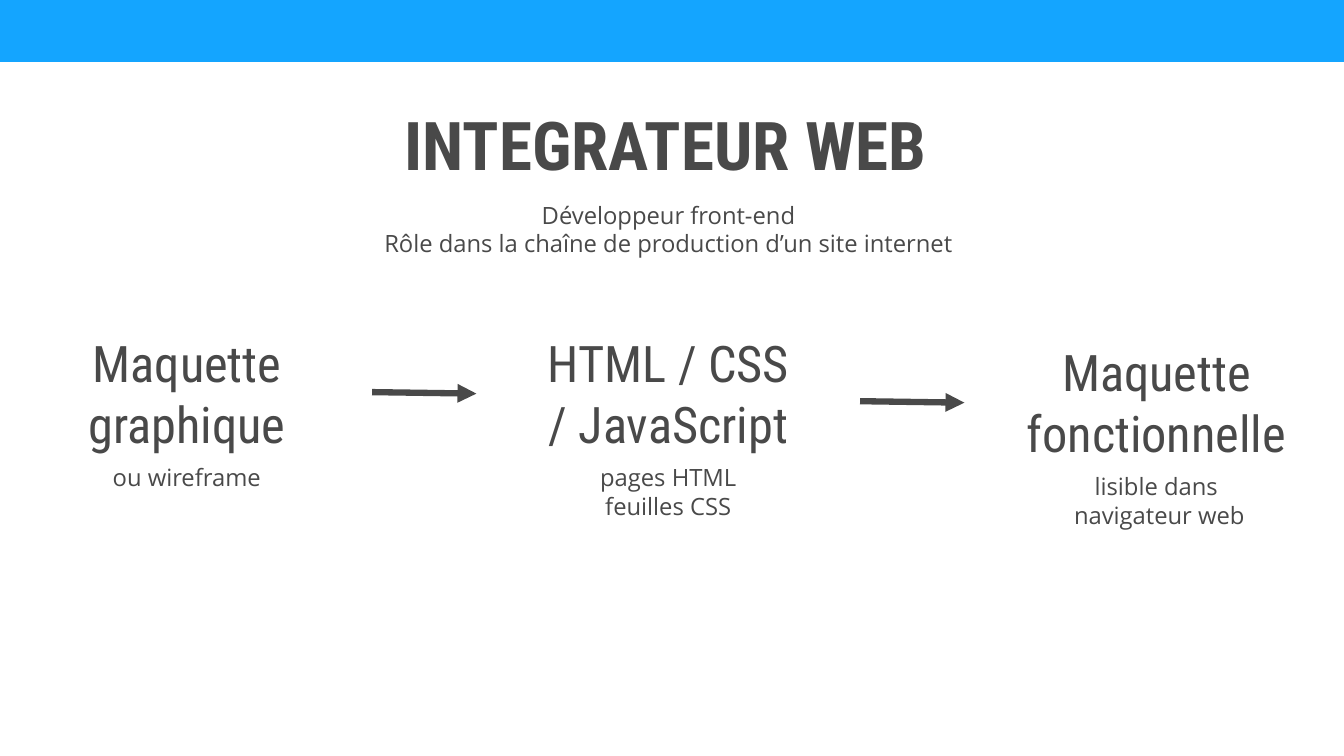
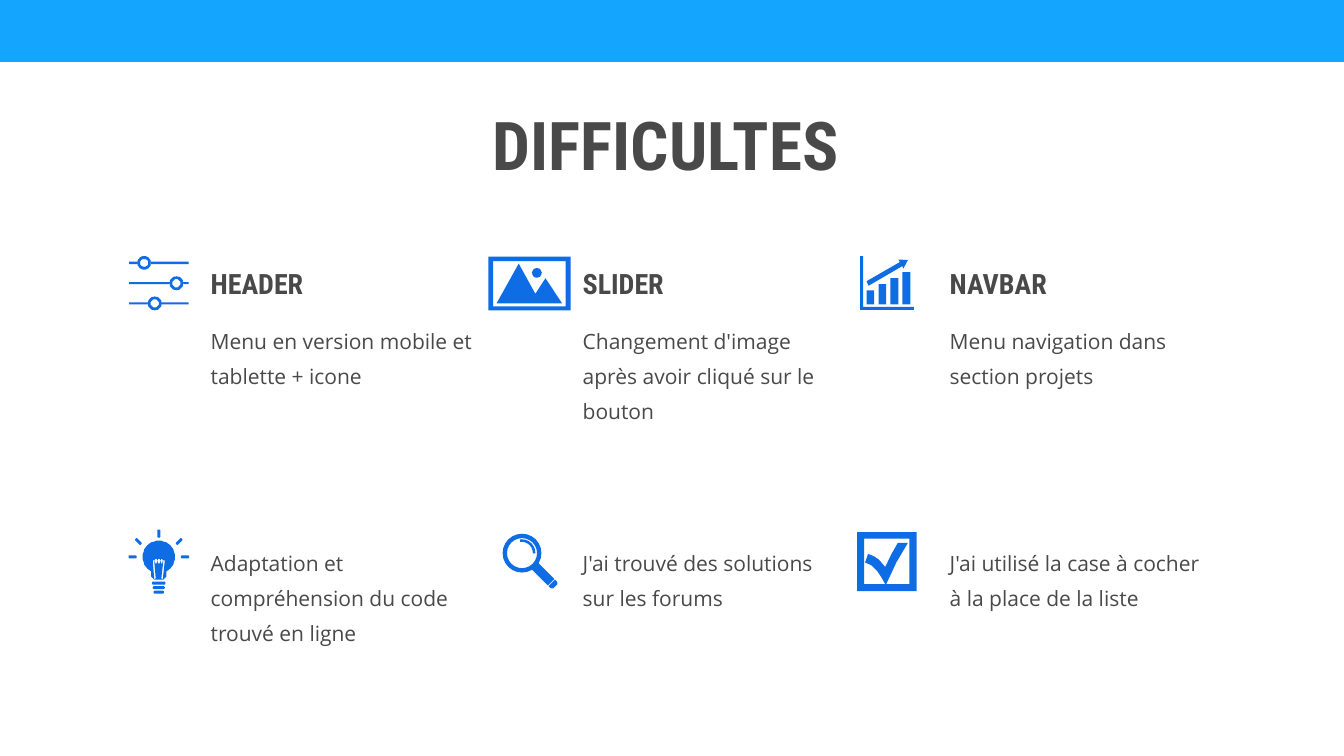
from math import cos, radians, sin, atan2, degrees

from lxml.etree import SubElement
from pptx import Presentation
from pptx.dml.color import RGBColor
from pptx.enum.shapes import MSO_CONNECTOR, MSO_SHAPE
from pptx.enum.text import MSO_ANCHOR, PP_ALIGN
from pptx.oxml.ns import qn
from pptx.util import Inches, Pt

# Shared grid: one-inch columns and rows
COLS, ROWS = 26.66, 15
BAND, INK, ICON = "14A5FF", "494949", "0E6DE5"
TITLE_FONT, BODY_FONT = "Roboto Condensed", "Open Sans"


def rgb(value):
    return RGBColor.from_string(value)


def grid(*cells):
    return [Inches(c) for c in cells]


def paint(sp, color):
    sp.shadow.inherit = False
    sp.fill.solid()
    sp.fill.fore_color.rgb = rgb(color)
    sp.line.fill.background()


def add_shape(shapes, kind, box, color, rotation=0, adjustments=()):
    sp = shapes.add_shape(kind, *grid(*box))
    paint(sp, color)
    sp.rotation = rotation
    for i, value in enumerate(adjustments):
        sp.adjustments[i] = value


def add_text(s, box, lines, size, font=BODY_FONT, bold=False, align=PP_ALIGN.LEFT,
             anchor=MSO_ANCHOR.TOP, spacing=None, inset=0.05):
    tf = s.shapes.add_textbox(*grid(*box)).text_frame
    tf.word_wrap = True
    tf.vertical_anchor = anchor
    tf.margin_left = tf.margin_right = Inches(0.1)
    tf.margin_top = tf.margin_bottom = Inches(inset)
    tf.text = "\n".join(lines)
    for p in tf.paragraphs:
        p.alignment = align
        if spacing:
            p.line_spacing = spacing
        for r in p.runs:
            r.font.name, r.font.size, r.font.bold = font, Pt(size), bold
            r.font.color.rgb = rgb(INK)


def add_arrow(s, x1, y1, x2, y2):
    line = s.shapes.add_connector(MSO_CONNECTOR.STRAIGHT, *grid(x1, y1, x2, y2))
    line.line.color.rgb = rgb(INK)
    line.line.width = Pt(9)
    SubElement(line.line._get_or_add_ln(), qn("a:tailEnd"), type="triangle")
    SubElement(line._element.spPr, qn("a:effectLst"))


def new_slide(prs, title, title_box):
    s = prs.slides.add_slide(prs.slide_layouts[6])
    add_shape(s.shapes, MSO_SHAPE.RECTANGLE, (0, 0, COLS, 1.23), BAND)
    add_text(s, title_box, [title], 96, TITLE_FONT, True, PP_ALIGN.CENTER)
    return s


# Icon outlines, in hundredths of a grid cell; inner outlines cut holes
def rect(x, y, w, h):
    return [(x, y), (x + w, y), (x + w, y + h), (x, y + h)]


def arc(cx, cy, radius, start=0, end=350, step=10):
    return [(cx + radius * cos(radians(a)), cy + radius * sin(radians(a)))
            for a in range(start, end + 1, step)]


def capsule(x1, y1, x2, y2, radius=3):
    turn = round(degrees(atan2(y2 - y1, x2 - x1)))
    return (arc(x2, y2, radius, turn - 90, turn + 90, 30)
            + arc(x1, y1, radius, turn + 90, turn + 270, 30))


def draw_icon(s, x, y, outlines):
    first, *others = outlines
    fb = s.shapes.build_freeform(*first[0], scale=Inches(0.01))
    fb.add_line_segments(first[1:], close=True)
    for outline in others:
        fb.move_to(*outline[0])
        fb.add_line_segments(outline[1:], close=True)
    paint(fb.convert_to_shape(*grid(x, y)), ICON)


def sliders_icon(s, x, y):
    outlines = []
    for cy, cx in ((13.5, 30), (54, 94), (94, 51)):
        outlines += [rect(0, cy - 2.5, cx - 13, 5), rect(cx + 13, cy - 2.5, 105 - cx, 5),
                     arc(cx, cy, 13.5), arc(cx, cy, 8)]
    draw_icon(s, x, y, outlines)


def image_icon(s, x, y):
    mountains = [(60, 14), (93, 74), (113, 43), (146, 93), (16, 93)]
    draw_icon(s, x, y, [rect(0, 0, 163, 107), rect(9, 9, 144, 90), mountains,
                        arc(96, 32.5, 9.5)])


def chart_icon(s, x, y):
    axes = [(0, 0), (6, 0), (6, 101), (107, 101), (107, 107), (0, 107)]
    trend = [(76, 7), (95, 8), (86, 25), (84, 20), (17, 59), (13, 50), (79, 12)]
    bars = [rect(13 + 23.7 * i, 68 - 12 * i, 15.5, 28 + 12 * i) for i in range(4)]
    draw_icon(s, x, y, [axes, trend, *bars])


def bulb_icon(s, x, y):
    glass = arc(60, 54, 32, 117, 423, 9) + [(75, 93), (69, 99), (51, 99), (45, 93)]
    filament = [(48, 61), (53, 61), (53, 58), (56, 58), (56, 61), (58, 61), (58, 58),
                (62, 58), (62, 61), (64, 61), (64, 58), (67, 58), (67, 61), (72, 61),
                (68, 98), (65, 97), (69, 63), (67, 63), (67, 67), (64, 67), (64, 63),
                (62, 63), (62, 67), (58, 67), (58, 63), (56, 63), (56, 67), (53, 67),
                (53, 63), (51, 63), (54, 97), (51, 98)]
    rays = [(3, 54, 13, 54), (107, 54, 117, 54), (60, 3, 60, 13),
            (16, 20, 23, 27), (104, 20, 97, 27)]
    base = [(60 - half, cy, 60 + half, cy) for half, cy in ((10, 106), (9, 115), (7, 124))]
    draw_icon(s, x, y, [glass, filament, *(capsule(*c) for c in rays + base)])


def magnifier_icon(s, x, y):
    shapes = s.shapes.add_group_shape().shapes
    for kind, (dx, dy, w, h), rotation, adjustments in (
            (MSO_SHAPE.RECTANGLE, (0.71, 0.57, 0.18, 0.46), 315, ()),
            (MSO_SHAPE.ROUND_2_SAME_RECTANGLE, (0.92, 0.96, 0.18, 0.1), 135, (0.5, 0)),
            (MSO_SHAPE.DONUT, (0, 0, 0.77, 0.77), 0, (0.113,)),
            (MSO_SHAPE.BLOCK_ARC, (0.11, 0.11, 0.54, 0.54), 0, (157.149, 1.611, 0.093))):
        add_shape(shapes, kind, (x + dx, y + dy, w, h), ICON, rotation, adjustments)


def checkbox_icon(s, x, y):
    tick = [(56, 103), (48, 89), (40, 77), (29, 66), (16, 60), (22, 43), (34, 48),
            (43, 54), (56, 69), (68, 44), (81, 21), (101, 21), (78, 60), (58, 103)]
    draw_icon(s, x, y, [rect(0, 0, 118, 117), rect(14, 13, 90, 90), tick])


# Production chain: a heading with its details, and the arrow leading to it
def production_step(s, left, top, heading, details, arrow):
    add_text(s, (left, top, 5.62, 3.09), heading, 72, TITLE_FONT, align=PP_ALIGN.CENTER,
             anchor=MSO_ANCHOR.MIDDLE, inset=0.1)
    add_text(s, (left + 0.11, top + 2.89, 5.39, 1.47), details, 34, align=PP_ALIGN.CENTER)
    if arrow:
        add_arrow(s, left - 3.07, top + 1.53, left - 1, top + 1.56)


def job_slide(prs):
    s = new_slide(prs, "INTEGRATEUR WEB ", (7.41, 2, 11.89, 1.72))
    add_text(s, (7.22, 3.93, 12.08, 1.47),
             ["Développeur front-end", "Rôle dans la chaîne de production d’un site internet"],
             34, align=PP_ALIGN.CENTER)
    steps = [
        (0.9, 6.25, ["Maquette graphique"], ["ou wireframe"]),
        (10.45, 6.25, ["HTML / CSS", "/ JavaScript"], ["pages HTML", "feuilles CSS"]),
        (20.13, 6.43, ["Maquette fonctionnelle"], ["lisible dans", " navigateur web"]),
    ]
    for i, step in enumerate(steps):
        production_step(s, *step, arrow=i > 0)


# Difficulty on top, its solution below, icons hanging to the left
def difficulty_column(s, left, heading, problem, solution, icons):
    add_text(s, (left, 5.24, 2.76, 0.77), [heading], 40, TITLE_FONT, True)
    for top, text in ((6.26, problem), (10.67, solution)):
        add_text(s, (left, top, 5.49, 1.87), [text], 30, spacing=1.4)
    for icon, indent, top in icons:
        icon(s, left - indent, top)


def difficulties_slide(prs):
    s = new_slide(prs, "DIFFICULTES ", (0.38, 2, 25.96, 1.72))
    columns = [
        (4.08, "HEADER", "Menu en version mobile et tablette + icone",
         "Adaptation et compréhension du code trouvé en ligne",
         [(sliders_icon, 1.52, 5.08), (bulb_icon, 1.53, 10.51)]),
        (11.46, "SLIDER", "Changement d'image après avoir cliqué sur le bouton",
         "J'ai trouvé des solutions sur les forums",
         [(image_icon, 1.77, 5.09), (magnifier_icon, 1.49, 10.59)]),
        (18.74, "NAVBAR", "Menu navigation dans section projets",
         "J'ai utilisé la case à cocher à la place de la liste",
         [(chart_icon, 1.68, 5.08), (checkbox_icon, 1.74, 10.56)]),
    ]
    for column in columns:
        difficulty_column(s, *column)


def main():
    prs = Presentation()
    prs.slide_width, prs.slide_height = grid(COLS, ROWS)
    job_slide(prs)
    difficulties_slide(prs)
    prs.save("out.pptx")


if __name__ == "__main__":
    main()
